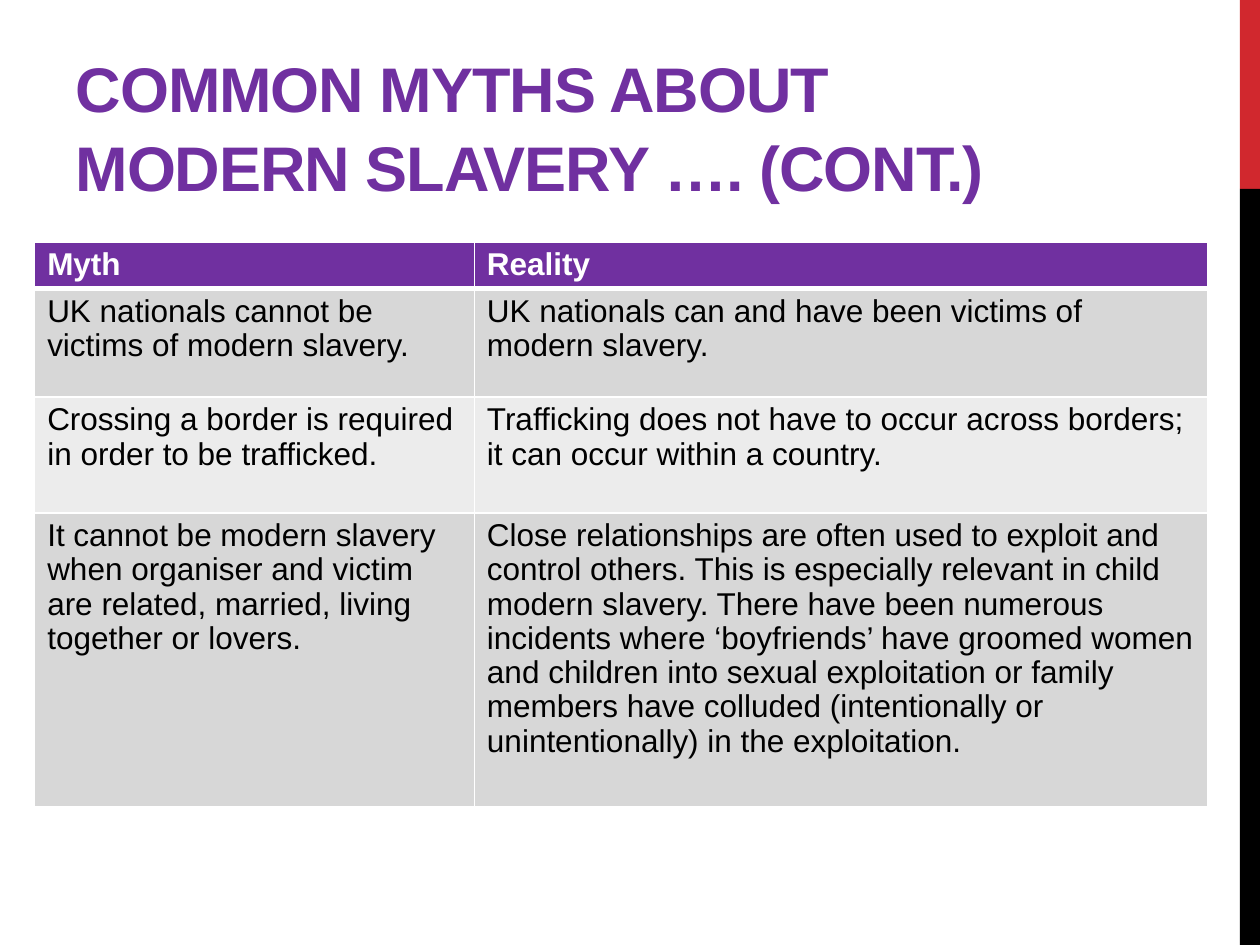
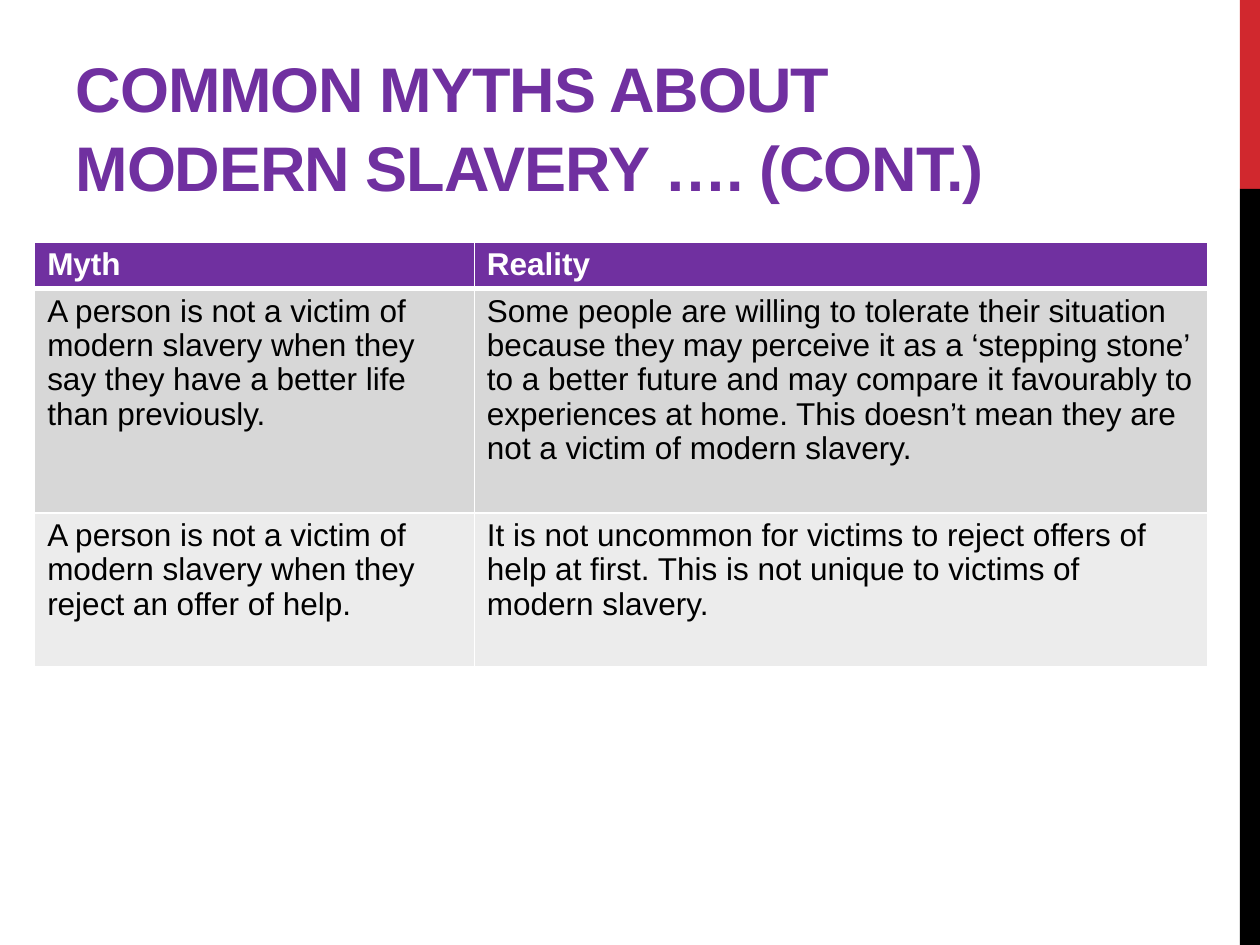
from dataclasses import dataclass

from lxml import etree
from pptx import Presentation
from pptx.dml.color import RGBColor
from pptx.enum.shapes import MSO_SHAPE
from pptx.enum.text import MSO_ANCHOR, MSO_AUTO_SIZE, PP_ALIGN
from pptx.oxml.ns import qn
from pptx.util import Emu, Inches, Pt

RECTANGLE = MSO_SHAPE.RECTANGLE
BOTTOM = MSO_ANCHOR.BOTTOM
NO_FIT = MSO_AUTO_SIZE.NONE
LEFT = PP_ALIGN.LEFT

SLIDE_W, SLIDE_H = Inches(10), Inches(7.5)
TITLE_ONLY = 5
FONT = "Arial"
COLORS = {
    "accent": "7030A0",
    "red": "D1282E",
    "black": "000000",
    "white": "FFFFFF",
    "dark_row": "D7D7D7",
    "light_row": "ECECEC",
}

TITLE = "COMMON MYTHS ABOUT MODERN SLAVERY …. (CONT.)"
HEADINGS = ("Myth", "Reality")
HEADER_HEIGHT = 0.37
COLUMN_WIDTHS = (3.49, 5.82)


@dataclass(frozen=True)
class Box:
    """A place on the slide, in shares of its width and height."""
    left: float
    top: float
    width: float
    height: float

    def emu(self) -> tuple[Emu, ...]:
        return (Emu(round(self.left * SLIDE_W)), Emu(round(self.top * SLIDE_H)),
                Emu(round(self.width * SLIDE_W)), Emu(round(self.height * SLIDE_H)))


@dataclass(frozen=True)
class Band:
    box: Box
    color: str


@dataclass(frozen=True)
class MythRow:
    myth: str
    reality: str
    height: float


BAND_LEFT, BAND_SPLIT = 0.984, 0.2
BANDS = (
    Band(Box(BAND_LEFT, 0, 1 - BAND_LEFT, BAND_SPLIT), "red"),
    Band(Box(BAND_LEFT, BAND_SPLIT, 1 - BAND_LEFT, 1 - BAND_SPLIT), "black"),
)
TITLE_BOX = Box(0.05, 0.17 / 7.5, 0.833, 0.2)
TABLE_LEFT, TABLE_TOP = 0.275, 1.92

SLIDES = (
    (
        MythRow("UK nationals cannot be victims of modern slavery.",
                "UK nationals can and have been victims of modern slavery.", 0.86),
        MythRow("Crossing a border is required in order to be trafficked.",
                "Trafficking does not have to occur across borders; it can occur "
                "within a country.", 0.92),
        MythRow("It cannot be modern slavery when organiser and victim are related, "
                "married, living together or lovers.",
                "Close relationships are often used to exploit and control others. "
                "This is especially relevant in child modern slavery. There have been "
                "numerous incidents where ‘boyfriends’ have groomed women and children "
                "into sexual exploitation or family members have colluded "
                "(intentionally or unintentionally) in the exploitation.", 2.33),
    ),
    (
        MythRow("A person is not a victim of modern slavery when they say they have "
                "a better life than previously.",
                "Some people are willing to tolerate their situation because they may "
                "perceive it as a ‘stepping stone’ to a better future and may compare "
                "it favourably to experiences at home. This doesn’t mean they are not "
                "a victim of modern slavery.", 1.78),
        MythRow("A person is not a victim of modern slavery when they reject an offer "
                "of help.",
                "It is not uncommon for victims to reject offers of help at first. "
                "This is not unique to victims of modern slavery.", 1.22),
    ),
)


def rgb(name: str) -> RGBColor:
    return RGBColor.from_string(COLORS[name])


def write(frame, text: str, *, size: float = 18, color: str = "black",
          bold: bool = False, line_spacing: float = 0.97, tracking: float = 0) -> None:
    paragraph = frame.paragraphs[0]
    paragraph.alignment = LEFT
    paragraph.line_spacing = line_spacing
    run = paragraph.add_run()
    run.text = text
    run.font.name = FONT
    run.font.size = Pt(size)
    run.font.bold = bold
    run.font.color.rgb = rgb(color)
    if tracking:
        run._r.get_or_add_rPr().set("spc", str(round(tracking * 100)))


def set_borders(cell, bottom: float) -> None:
    """Draw white cell edges, 1 pt wide except for the bottom one."""
    properties = cell._tc.get_or_add_tcPr()
    edges = {"lnL": 1, "lnR": 1, "lnT": 1, "lnB": bottom}
    for index, (edge, width) in enumerate(edges.items()):
        line = etree.Element(qn(f"a:{edge}"), w=str(Pt(width)))
        fill = etree.SubElement(line, qn("a:solidFill"))
        etree.SubElement(fill, qn("a:srgbClr"), val=COLORS["white"])
        properties.insert(index, line)


def add_bands(slide) -> None:
    """Draw the side bands and hand them to the slide's layout."""
    for band in BANDS:
        shape = slide.shapes.add_shape(RECTANGLE, *band.box.emu())
        shape.shadow.inherit = False
        shape.fill.solid()
        shape.fill.fore_color.rgb = rgb(band.color)
        shape.line.fill.background()
        slide.slide_layout.shapes.element.append(shape.element)


def add_title(slide) -> None:
    title = slide.shapes.title
    title.left, title.top, title.width, title.height = TITLE_BOX.emu()
    frame = title.text_frame
    frame.word_wrap = True
    frame.auto_size = NO_FIT
    frame.vertical_anchor = BOTTOM
    write(frame, TITLE, size=36, color="accent", bold=True,
          line_spacing=1.05, tracking=-0.6)


def add_myth_table(slide, myths: tuple[MythRow, ...]) -> None:
    heights = [HEADER_HEIGHT, *(myth.height for myth in myths)]
    texts = [HEADINGS, *((myth.myth, myth.reality) for myth in myths)]
    table = slide.shapes.add_table(
        len(texts), len(HEADINGS), Inches(TABLE_LEFT), Inches(TABLE_TOP),
        Inches(sum(COLUMN_WIDTHS)), Inches(sum(heights))).table
    for column, width in zip(table.columns, COLUMN_WIDTHS):
        column.width = Inches(width)
    for number, (height, row_texts) in enumerate(zip(heights, texts)):
        is_header = number == 0
        row = table.rows[number]
        row.height = Inches(height)
        row_fill = "accent" if is_header else ("light_row", "dark_row")[number % 2]
        for cell, text in zip(row.cells, row_texts):
            cell.fill.solid()
            cell.fill.fore_color.rgb = rgb(row_fill)
            set_borders(cell, bottom=3 if is_header else 1)
            write(cell.text_frame, text, bold=is_header,
                  color="white" if is_header else "black")


def main() -> None:
    deck = Presentation()
    deck.slide_width, deck.slide_height = SLIDE_W, SLIDE_H
    layout = deck.slide_layouts[TITLE_ONLY]
    for number, myths in enumerate(SLIDES):
        slide = deck.slides.add_slide(layout)
        if number == 0:
            add_bands(slide)
        add_myth_table(slide, myths)
        add_title(slide)
    deck.save("out.pptx")


if __name__ == "__main__":
    main()
